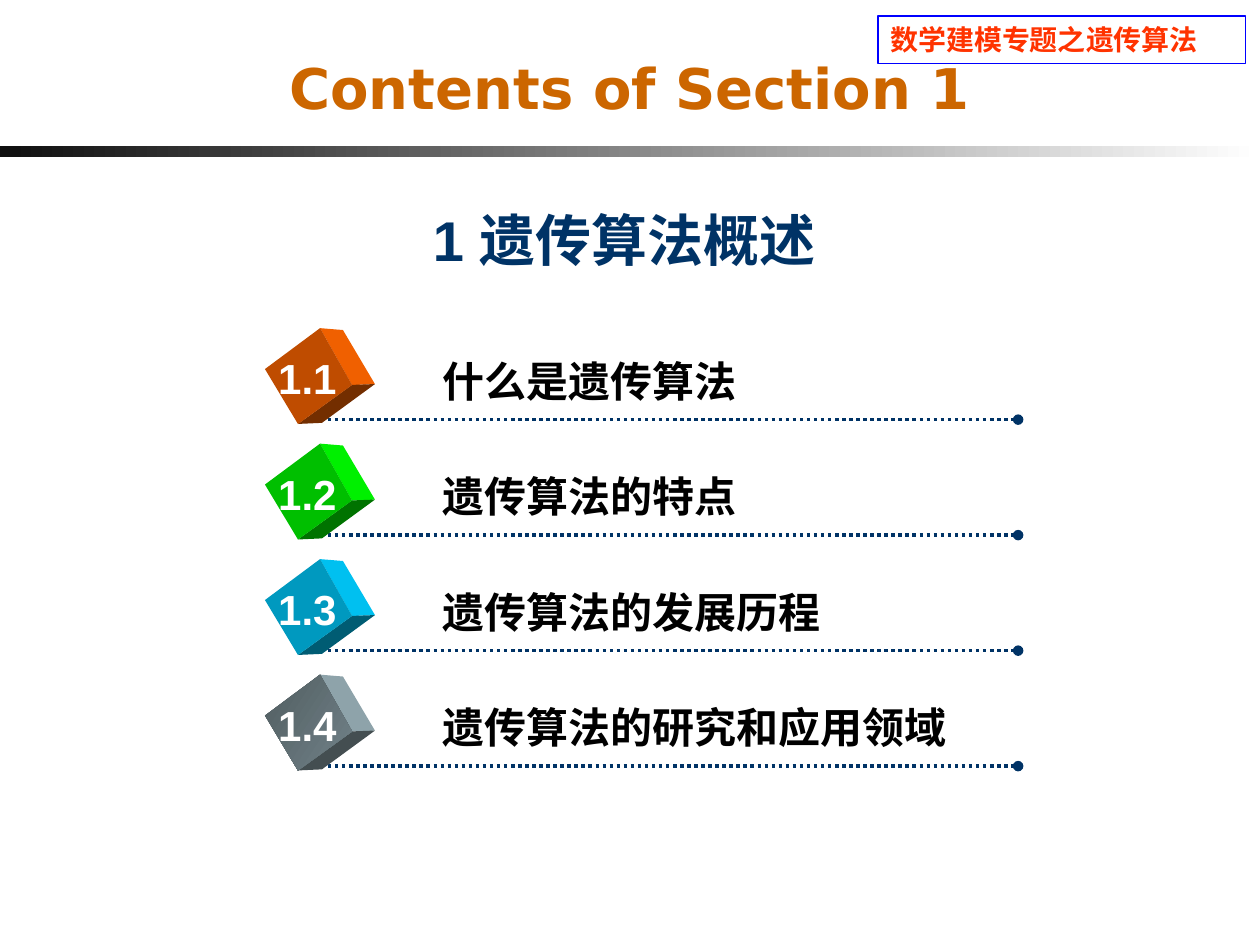
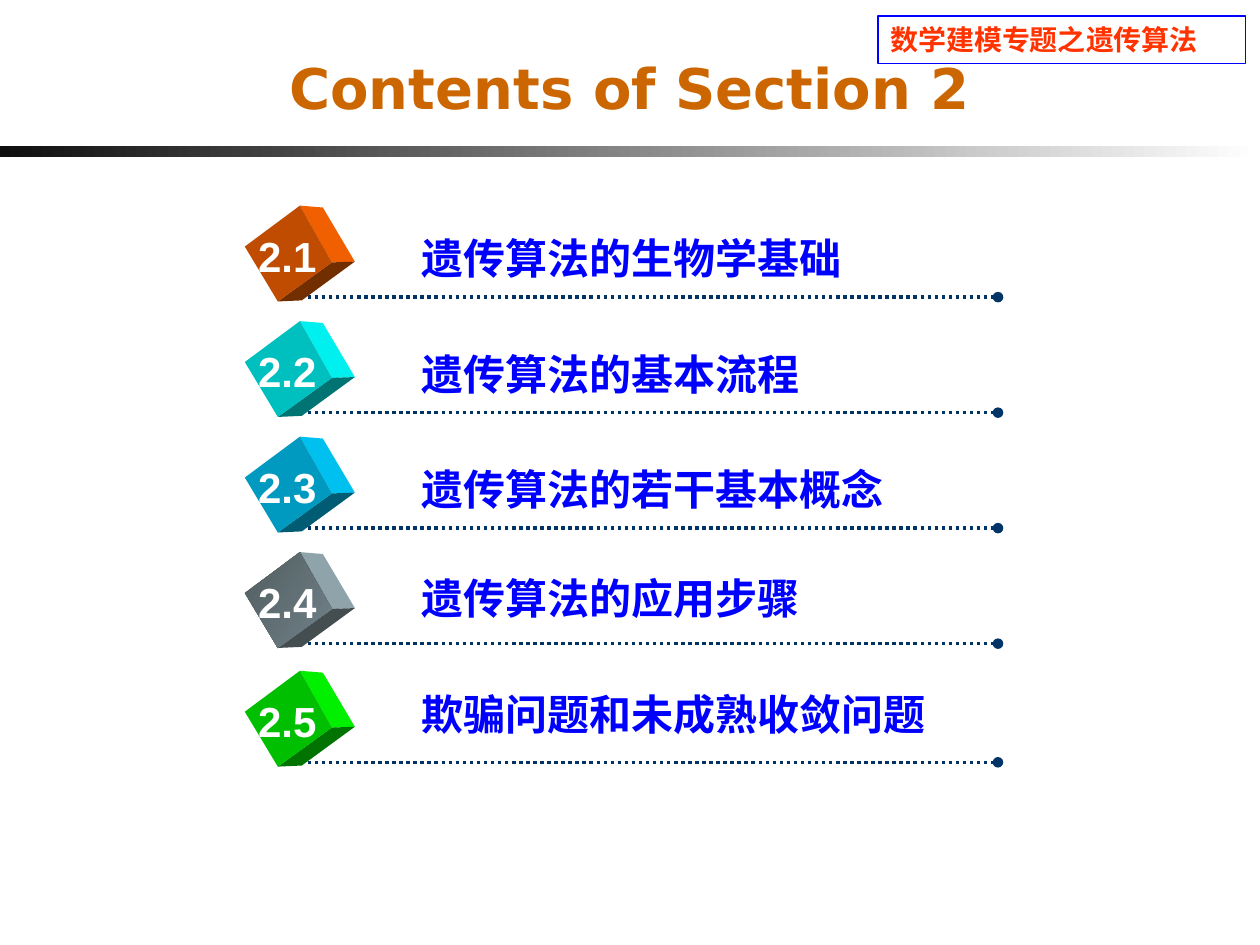
"""Build two contents slides whose rows carry numbered cubes and dotted rules."""
from typing import NamedTuple

from lxml.etree import SubElement
from pptx import Presentation
from pptx.dml.color import RGBColor
from pptx.enum.dml import MSO_LINE
from pptx.enum.shapes import MSO_CONNECTOR, MSO_SHAPE
from pptx.enum.text import MSO_ANCHOR, PP_ALIGN
from pptx.oxml.ns import qn
from pptx.slide import Slide
from pptx.text.text import TextFrame
from pptx.util import Pt

COLOURS = {
    "band start": "0F0F0F",
    "white": "FFFFFF",
    "black": "000000",
    "blue": "0000FF",
    "header": "FF3300",
    "title": "CC6600",
    "navy": "003366",
    "orange": "FF6600",
    "green": "00FF00",
    "cyan": "00FFFF",
    "sky": "00CCFF",
    "grey": "97ADB5",
    "dark grey": "6C7C81",
}
BODY_FONT = "Arial"
TITLE_FONT = "DejaVu Sans"
ROW_PITCH = 66
RULE_WIDTH = 402.5


class Frame(NamedTuple):
    left: float
    top: float
    width: float
    height: float


class Style(NamedTuple):
    size: float
    colour: str
    font: str = BODY_FONT
    align: PP_ALIGN = PP_ALIGN.LEFT


class Face(NamedTuple):
    corners: tuple[tuple[float, float], ...]
    shade: float


class Topic(NamedTuple):
    text: str
    cube: str
    lift: float = 40.3
    drop: float = 0


class Section(NamedTuple):
    number: int
    rule_left: float
    first_rule: float
    topic_colour: str
    topics: tuple[Topic, ...]
    heading: str = ""


WEST, NORTH, NORTH_BACK = (-27.9, -28.9), (3.6, -52.3), (16.7, -51.2)
EAST, EAST_BACK = (21.9, -19.8), (35, -20.3)
SOUTH, SOUTH_BACK = (-9, 2.5), (4.7, 1.9)
FRONT = Face((WEST, NORTH, EAST, SOUTH), 0.75)
CUBE_FACES = (
    Face((NORTH, NORTH_BACK, EAST_BACK, EAST), 0.94),
    Face((EAST, EAST_BACK, SOUTH_BACK, SOUTH), 0.45),
    FRONT,
)

SECTIONS = (
    Section(1, 179.3, 239.8, "black", (
        Topic("什么是遗传算法", "orange"),
        Topic("遗传算法的特点", "green"),
        Topic("遗传算法的发展历程", "sky"),
        Topic("遗传算法的研究和应用领域", "grey"),
    ), "1 遗传算法概述"),
    Section(2, 167.8, 169.8, "blue", (
        Topic("遗传算法的生物学基础", "orange"),
        Topic("遗传算法的基本流程", "cyan"),
        Topic("遗传算法的若干基本概念", "sky"),
        Topic("遗传算法的应用步骤", "grey", lift=43.9),
        Topic("欺骗问题和未成熟收敛问题", "green", lift=45.4, drop=1.8),
    )),
)


def colour(name: str, shade: float = 1) -> RGBColor:
    """Return a named colour, darkened by the shade factor."""
    return RGBColor(*(round(part * shade) for part in RGBColor.from_string(COLOURS[name])))


def style_paragraph(frame: TextFrame, style: Style) -> None:
    """Apply a style to the first paragraph of a text frame."""
    para = frame.paragraphs[0]
    para.alignment = style.align
    para.font.size = Pt(style.size)
    para.font.bold = True
    para.font.name = style.font
    para.font.color.rgb = colour(style.colour)


def add_text(page: Slide, place: Frame, text: str, style: Style,
             wrap: bool = True, anchor: MSO_ANCHOR = MSO_ANCHOR.TOP) -> None:
    """Add a one-paragraph text box."""
    frame = page.shapes.add_textbox(*map(Pt, place)).text_frame
    frame.word_wrap = wrap
    frame.vertical_anchor = anchor
    frame.paragraphs[0].add_run().text = text
    style_paragraph(frame, style)


def add_page_frame(page: Slide, title: str) -> None:
    """Draw the band, the header box and the title."""
    band = page.shapes.add_shape(MSO_SHAPE.RECTANGLE, Pt(0), Pt(83.5), Pt(720), Pt(6.5))
    band.shadow.inherit = False
    band.line.fill.background()
    band.fill.gradient()
    band.fill.gradient_angle = 0
    for stop, name in zip(band.fill.gradient_stops, ("band start", "white")):
        stop.color.rgb = colour(name)

    header = page.shapes.add_shape(MSO_SHAPE.RECTANGLE, Pt(501.8), Pt(9.1), Pt(209.8), Pt(27.3))
    header.shadow.inherit = False
    header.fill.background()
    header.line.color.rgb = colour("blue")
    header.line.width = Pt(0.75)
    frame = header.text_frame
    frame.word_wrap = True
    frame.vertical_anchor = MSO_ANCHOR.TOP
    for text, font in (("数学建模专题之", "Lato"), ("遗传算法", BODY_FONT)):
        span = frame.paragraphs[0].add_run()
        span.text = text
        span.font.name = font
    style_paragraph(frame, Style(16, "header"))

    add_text(page, Frame(48, 12, 624, 75.6), title,
             Style(32, "title", TITLE_FONT, PP_ALIGN.CENTER), anchor=MSO_ANCHOR.MIDDLE)


def add_rule(page: Slide, left: float, top: float) -> None:
    """Draw a dotted rule that ends in a dot."""
    rule = page.shapes.add_connector(
        MSO_CONNECTOR.STRAIGHT, Pt(left), Pt(top), Pt(left + RULE_WIDTH), Pt(top))
    rule.line.color.rgb = colour("navy")
    rule.line.width = Pt(2)
    rule.line.dash_style = MSO_LINE.ROUND_DOT
    properties = rule.element.spPr
    SubElement(properties.find(qn("a:ln")), qn("a:tailEnd"), type="oval")
    SubElement(properties, qn("a:effectLst"))


def add_cube(page: Slide, left: float, top: float, name: str) -> None:
    """Draw the three visible faces of a cube around the start of a rule."""
    for face in CUBE_FACES:
        points = [(Pt(left + x), Pt(top + y)) for x, y in face.corners]
        builder = page.shapes.build_freeform(*points[0], scale=1.0)
        builder.add_line_segments(points[1:], close=True)
        side = builder.convert_to_shape()
        side.shadow.inherit = False
        side.line.fill.background()
        if name == "grey" and face is FRONT:
            side.fill.gradient()
            side.fill.gradient_angle = 327
            for stop, tone in zip(side.fill.gradient_stops, ("dark grey", "grey")):
                stop.color.rgb = colour(tone, face.shade)
        else:
            side.fill.solid()
            side.fill.fore_color.rgb = colour(name, face.shade)


def add_section(page: Slide, section: Section) -> None:
    """Draw the frame, the optional heading and all topic rows."""
    add_page_frame(page, f"Contents of Section {section.number}")
    if section.heading:
        add_text(page, Frame(149.8, 113.8, 414, 45.4), section.heading,
                 Style(32, "navy", align=PP_ALIGN.CENTER))
    left = section.rule_left
    for index, topic in enumerate(section.topics):
        top = section.first_rule + index * ROW_PITCH + topic.drop
        add_rule(page, left, top)
        add_cube(page, left, top, topic.cube)
        add_text(page, Frame(left - 27.4, top - 41.8, 47.5, 36),
                 f"{section.number}.{index + 1}",
                 Style(24, "white", align=PP_ALIGN.CENTER), wrap=False)
        add_text(page, Frame(left + 66.2, top - topic.lift, 320, 36),
                 topic.text, Style(24, section.topic_colour))


def main() -> None:
    """Build and save the deck."""
    deck = Presentation()
    deck.slide_width, deck.slide_height = Pt(720), Pt(540)
    for section in SECTIONS:
        add_section(deck.slides.add_slide(deck.slide_layouts[6]), section)
    deck.save("out.pptx")


if __name__ == "__main__":
    main()
